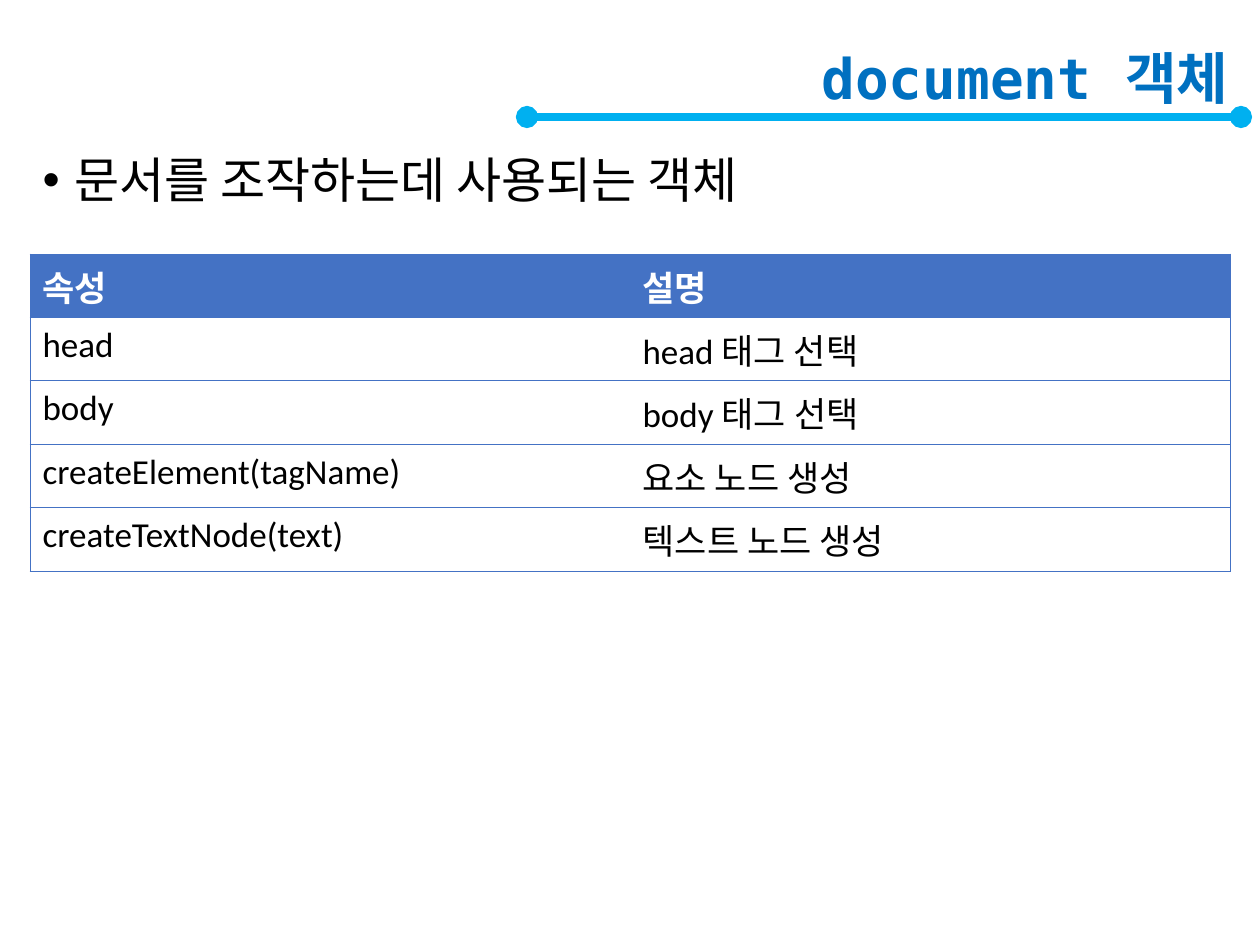
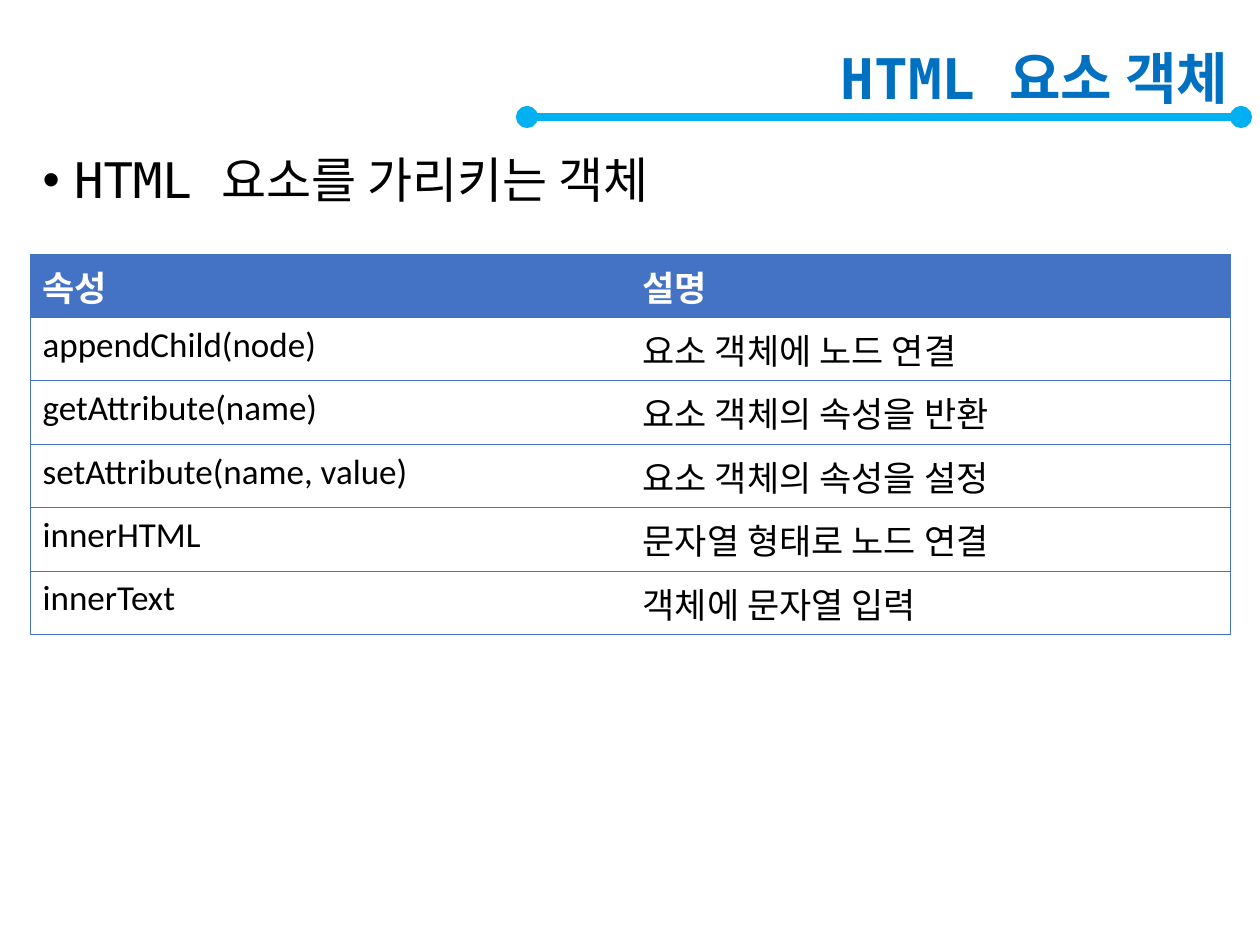
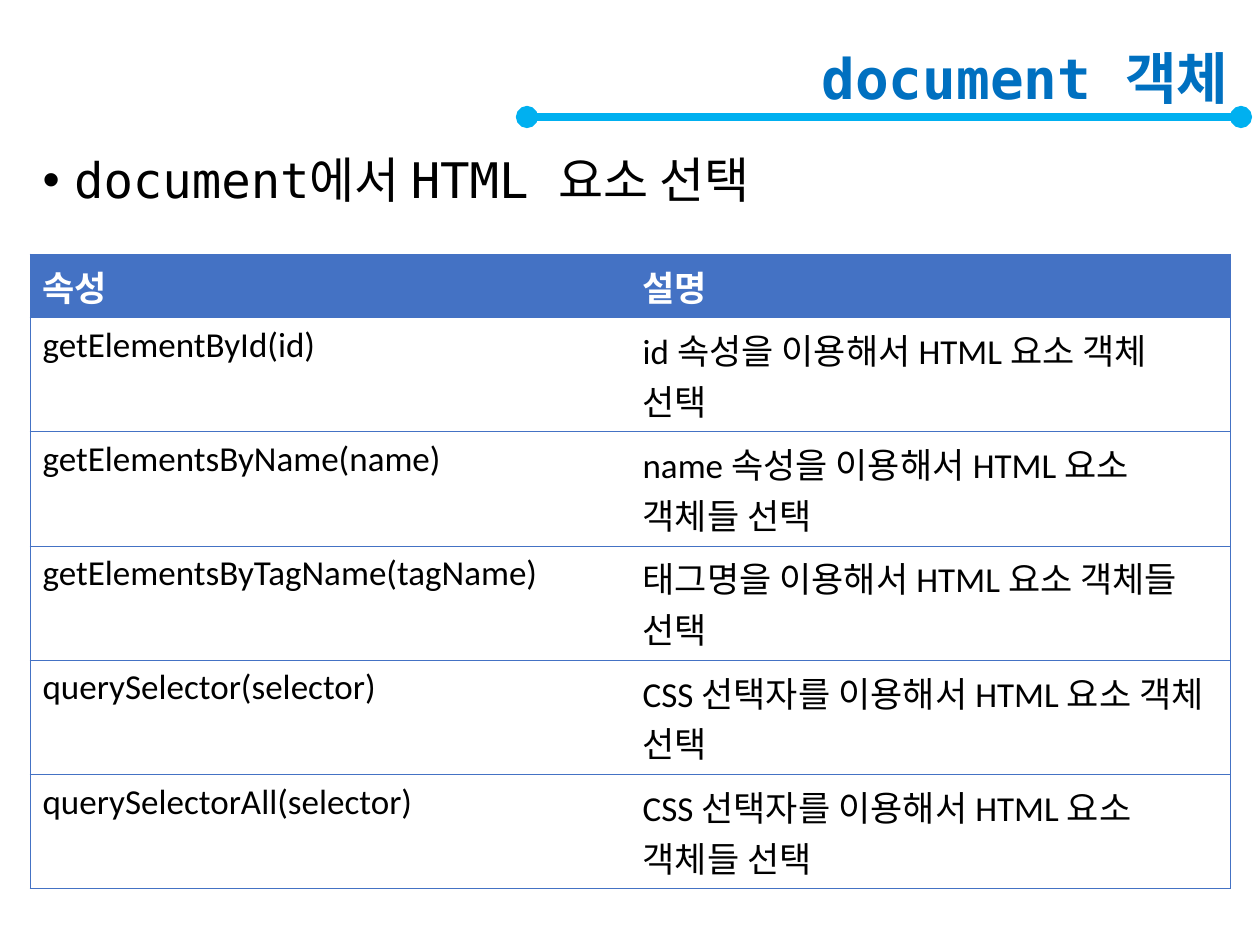
"""Build three slides that describe the DOM document and element objects."""
from typing import NamedTuple

from pptx import Presentation, util as u
from pptx.dml.color import RGBColor
from pptx.enum import shapes, text
from pptx.oxml import ns
from lxml import etree

EMU_PER_PIXEL = 914400 / 126
COLORS = {"title": "0070C0", "rule": "00B0F0", "table": "4472C4", "ink": "000000", "paper": "FFFFFF"}
MONO, SANS = "DejaVu Sans Mono", "Calibri"
MARGIN, CONTENT_WIDTH = 30, 1211
RULE_LEFT, RULE_RIGHT, RULE_Y = 527, 1241, 117
TABLE_TOP, COLUMN_WIDTH, ROW_HEIGHT = 254, 600, 52
BULLET_INDENT = 0.25
BORDER_POINTS = 0.5
NO_GRID_STYLE = "{2D5ABB26-0587-4C30-8999-92F81FD0307C}"
HEADINGS = ("속성", "설명")


class TextFormat(NamedTuple):
    face: str
    points: int
    color: str
    bold: bool = False


class Topic(NamedTuple):
    title: str
    summary: str
    members: tuple[tuple[str, str], ...]


TITLE_FORMAT = TextFormat(MONO, 32, "title", True)
SUMMARY_FORMAT = TextFormat(MONO, 28, "ink")
HEADING_FORMAT = TextFormat(SANS, 20, "paper", True)
MEMBER_FORMAT = TextFormat(SANS, 20, "ink")

TOPICS = (
    Topic("document 객체", "문서를 조작하는데 사용되는 객체", (
        ("head", "head 태그 선택"),
        ("body", "body 태그 선택"),
        ("createElement(tagName)", "요소 노드 생성"),
        ("createTextNode(text)", "텍스트 노드 생성"),
    )),
    Topic("HTML 요소 객체", "HTML 요소를 가리키는 객체", (
        ("appendChild(node)", "요소 객체에 노드 연결"),
        ("getAttribute(name)", "요소 객체의 속성을 반환"),
        ("setAttribute(name, value)", "요소 객체의 속성을 설정"),
        ("innerHTML", "문자열 형태로 노드 연결"),
        ("innerText", "객체에 문자열 입력"),
    )),
    Topic("document 객체", "document에서 HTML 요소 선택", (
        ("getElementById(id)", "id 속성을 이용해서 HTML 요소 객체 선택"),
        ("getElementsByName(name)", "name 속성을 이용해서 HTML 요소 객체들 선택"),
        ("getElementsByTagName(tagName)", "태그명을 이용해서 HTML 요소 객체들 선택"),
        ("querySelector(selector)", "CSS 선택자를 이용해서 HTML 요소 객체 선택"),
        ("querySelectorAll(selector)", "CSS 선택자를 이용해서 HTML 요소 객체들 선택"),
    )),
)


def px(pixels: float) -> u.Emu:
    """Turn pixels into EMU."""
    return u.Emu(round(pixels * EMU_PER_PIXEL))


def rgb(name: str) -> RGBColor:
    """Look up a named colour."""
    return RGBColor.from_string(COLORS[name])


def apply(target, values: dict) -> None:
    """Set each attribute of the target from the dict."""
    for name, value in values.items():
        setattr(target, name, value)


def write(frame, words: str, style: TextFormat, layout: dict | None = None) -> None:
    """Write one formatted paragraph into a text frame."""
    paragraph = frame.paragraphs[0]
    apply(paragraph, layout or {})
    run = paragraph.add_run()
    run.text = words
    apply(run.font, {"name": style.face, "size": u.Pt(style.points), "bold": style.bold})
    run.font.color.rgb = rgb(style.color)


def place(holder, top: int, height: int) -> None:
    """Move a placeholder to the content column."""
    apply(holder, {"left": px(MARGIN), "top": px(top), "width": px(CONTENT_WIDTH), "height": px(height)})


def draw_rule(slide) -> None:
    """Draw the title rule with a dot at each end."""
    rule = slide.shapes.add_connector(
        shapes.MSO_CONNECTOR.STRAIGHT, px(RULE_LEFT), px(RULE_Y), px(RULE_RIGHT), px(RULE_Y))
    rule.line.color.rgb = rgb("rule")
    rule.line.width = u.Pt(4.25)
    properties = rule.element.spPr
    outline = properties.find(ns.qn("a:ln"))
    for end in ("a:headEnd", "a:tailEnd"):
        etree.SubElement(outline, ns.qn(end), type="oval")
    etree.SubElement(properties, ns.qn("a:effectLst"))


def draw_title(slide, words: str) -> None:
    """Write the right-aligned slide title."""
    title = slide.shapes.title
    place(title, 30, 102)
    title.text_frame.vertical_anchor = text.MSO_ANCHOR.MIDDLE
    write(title.text_frame, words, TITLE_FORMAT, {"alignment": text.PP_ALIGN.RIGHT, "line_spacing": 0.9})


def draw_summary(slide, words: str) -> None:
    """Write the bulleted summary line."""
    body = slide.placeholders[1]
    place(body, 150, 733)
    write(body.text_frame, words, SUMMARY_FORMAT, {"line_spacing": 0.9, "space_before": u.Pt(10)})
    properties = body.text_frame.paragraphs[0].element.get_or_add_pPr() if hasattr(
        body.text_frame.paragraphs[0], "element") else body.element.find(".//" + ns.qn("a:pPr"))
    indent = u.Inches(BULLET_INDENT)
    properties.set("marL", str(int(indent)))
    properties.set("indent", str(-int(indent)))
    etree.SubElement(properties, ns.qn("a:buFont"), typeface="Arial")
    etree.SubElement(properties, ns.qn("a:buChar"), char="•")


def add_borders(properties, sides: str) -> None:
    """Put thin lines on the given sides of a cell, ahead of its fill."""
    for index, side in enumerate(sides):
        border = etree.Element(ns.qn(f"a:ln{side}"), w=str(int(u.Pt(BORDER_POINTS))))
        fill = etree.SubElement(border, ns.qn("a:solidFill"))
        etree.SubElement(fill, ns.qn("a:srgbClr"), val=COLORS["table"])
        properties.insert(index, border)


def draw_members(slide, members: tuple[tuple[str, str], ...]) -> None:
    """Draw the table of members and their descriptions."""
    rows = (HEADINGS, *members)
    frame = slide.shapes.add_table(
        len(rows), len(HEADINGS), px(MARGIN), px(TABLE_TOP),
        px(COLUMN_WIDTH * len(HEADINGS)), px(ROW_HEIGHT * len(rows)))
    table = frame.table
    table.horz_banding = False
    frame.element.find(".//" + ns.qn("a:tableStyleId")).text = NO_GRID_STYLE
    for row_index, row in enumerate(rows):
        for column_index, words in enumerate(row):
            cell = table.cell(row_index, column_index)
            if row_index == 0:
                cell.fill.solid()
                cell.fill.fore_color.rgb = rgb("table")
            else:
                cell.fill.background()
            write(cell.text_frame, words, MEMBER_FORMAT if row_index else HEADING_FORMAT)
    for index, properties in enumerate(frame.element.iter(ns.qn("a:tcPr"))):
        add_borders(properties, "RTB" if index % len(HEADINGS) else "LTB")


def build() -> None:
    """Build every topic slide and save the deck."""
    deck = Presentation()
    apply(deck, {"slide_width": px(1260), "slide_height": px(945)})
    for topic in TOPICS:
        slide = deck.slides.add_slide(deck.slide_layouts[1])
        draw_rule(slide)
        draw_title(slide, topic.title)
        draw_summary(slide, topic.summary)
        draw_members(slide, topic.members)
    deck.save("out.pptx")


build()
